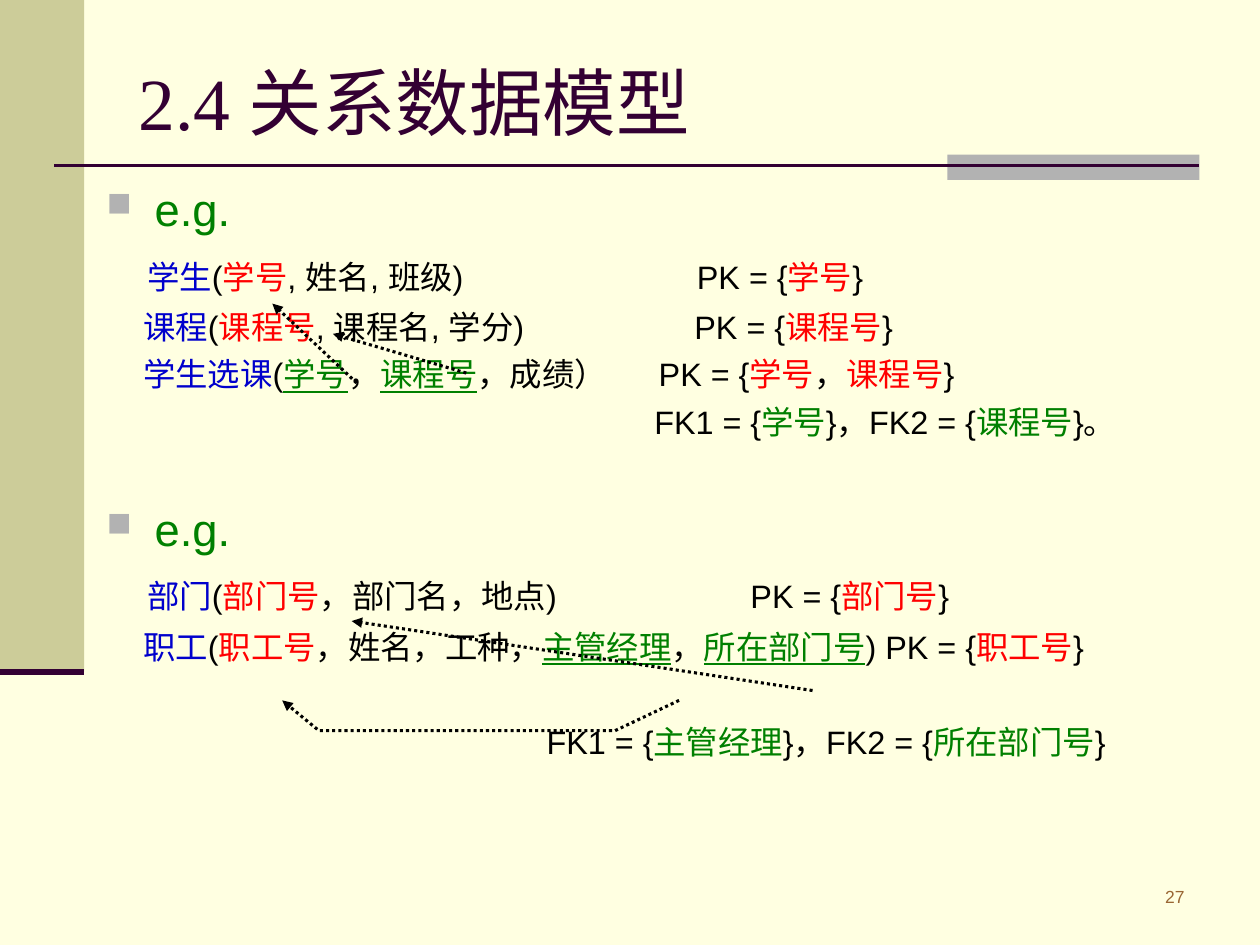
from dataclasses import dataclass
from typing import NamedTuple

from lxml import etree
from pptx import Presentation
from pptx.dml.color import RGBColor
from pptx.enum.dml import MSO_LINE
from pptx.enum.shapes import MSO_CONNECTOR, MSO_SHAPE
from pptx.enum.text import MSO_ANCHOR, PP_ALIGN
from pptx.oxml.ns import qn
from pptx.util import Cm, Pt

RECT = MSO_SHAPE.RECTANGLE
STRAIGHT = MSO_CONNECTOR.STRAIGHT
DOTTED = MSO_LINE.ROUND_DOT
MIDDLE = MSO_ANCHOR.MIDDLE
LEFT, RIGHT = PP_ALIGN.LEFT, PP_ALIGN.RIGHT

CREAM, OLIVE, GREY, PLUM, BROWN = "FFFFE1", "CCCC99", "B2B2B2", "330033", "996633"
BLACK, BLUE, RED, GREEN = "000000", "0000CC", "FF0000", "008000"
HEAD_SIZE, ROW_SIZE = 25.9, 18.5
HANG = 0.97  # bullet indent, cm


class Span(NamedTuple):
    text: str
    color: str = BLACK
    underline: bool = False


@dataclass
class Row:
    spans: list[Span]
    before: float = 5
    size: float = ROW_SIZE
    indent: float = 0
    tabs: tuple[float, ...] = ()
    bullet: bool = False


def rgb(color: str) -> RGBColor:
    return RGBColor.from_string(color)


def name(text: str) -> Span:
    return Span("\t" + text, BLUE)


def key(text: str) -> Span:
    return Span(text, RED)


def foreign(text: str, underline: bool = False) -> Span:
    return Span(text, GREEN, underline)


def heading(before: float) -> Row:
    return Row([Span("e.g.", GREEN)], before, HEAD_SIZE, HANG, bullet=True)


def add_rect(s, x: float, y: float, w: float, h: float, color: str) -> None:
    sp = s.shapes.add_shape(RECT, Cm(x), Cm(y), Cm(w), Cm(h))
    sp.shadow.inherit = False
    sp.fill.solid()
    sp.fill.fore_color.rgb = rgb(color)
    sp.line.fill.background()


def style_line(sp, color: str, width: float, arrow: bool) -> None:
    sp.line.color.rgb = rgb(color)
    sp.line.width = Pt(width)
    if arrow:
        sp.line.dash_style = DOTTED
        etree.SubElement(sp.line._get_or_add_ln(), qn("a:tailEnd"), type="triangle")


def add_line(s, x1: float, y1: float, x2: float, y2: float,
             color: str = BLACK, width: float = 1.75, arrow: bool = True) -> None:
    sp = s.shapes.add_connector(STRAIGHT, Cm(x1), Cm(y1), Cm(x2), Cm(y2))
    style_line(sp, color, width, arrow)
    etree.SubElement(sp._element.spPr, qn("a:effectLst"))


def add_bent_arrow(s, points: list[tuple[float, float]]) -> None:
    start, *rest = [(Cm(x), Cm(y)) for x, y in points]
    builder = s.shapes.build_freeform(*start)
    builder.add_line_segments(rest, close=False)
    sp = builder.convert_to_shape()
    sp.shadow.inherit = False
    sp.fill.background()
    style_line(sp, BLACK, 1.75, True)


def add_box(s, x: float, y: float, w: float, h: float):
    tf = s.shapes.add_textbox(Cm(x), Cm(y), Cm(w), Cm(h)).text_frame
    tf.word_wrap = True
    return tf


def add_run(p, span: Span, size: float, font: str = "Arial") -> None:
    r = p.add_run()
    r.text = span.text
    r.font.size = Pt(size)
    r.font.name = font
    r.font.color.rgb = rgb(span.color)
    if span.underline:
        r.font.underline = True


def add_row(p, row: Row) -> None:
    p.alignment = LEFT
    p.space_before = Pt(row.before)
    pPr = p._p.get_or_add_pPr()
    # Tab stops only hold in a paragraph without its own indent
    if row.indent:
        pPr.set("marL", str(Cm(row.indent)))
        pPr.set("indent", str(-Cm(row.indent) if row.bullet else 0))
    if row.bullet:
        color = etree.SubElement(pPr, qn("a:buClr"))
        etree.SubElement(color, qn("a:srgbClr"), val=GREY)
        etree.SubElement(pPr, qn("a:buSzPct"), val="75000")
        etree.SubElement(pPr, qn("a:buChar"), char="■")
    if row.tabs:
        tabs = etree.SubElement(pPr, qn("a:tabLst"))
        for pos in row.tabs:
            etree.SubElement(tabs, qn("a:tab"), pos=str(Cm(pos)), algn="l")
    for span in row.spans:
        add_run(p, span, row.size)


ROWS = [
    heading(0),
    Row([name("学生"), Span("("), key("学号"), Span(", 姓名, 班级)\tPK = {"),
         key("学号"), Span("}")], 12, tabs=(0.82, 11.9)),
    Row([name("课程"), Span("("), key("课程号"), Span(", 课程名, 学分)\tPK = {"),
         key("课程号"), Span("}")], 6.5, tabs=(0.74, 11.85)),
    Row([name("学生选课"), Span("("), foreign("学号", True), Span("，"),
         foreign("课程号", True), Span("，成绩）\tPK = {"), key("学号"), Span("，"),
         key("课程号"), Span("}")], tabs=(0.74, 11.13)),
    Row([Span("FK1 = {"), foreign("学号"), Span("}，FK2 = {"), foreign("课程号"),
         Span("}。")], indent=11.04),
    heading(34.3),
    Row([name("部门"), Span("("), key("部门号"), Span("，部门名，地点)\tPK = {"),
         key("部门号"), Span("}")], 12, tabs=(0.82, 12.98)),
    Row([name("职工"), Span("("), key("职工号"), Span("，姓名，工种，"),
         foreign("主管经理", True), Span("，"), foreign("所在部门号", True),
         Span(") PK = {"), key("职工号"), Span("}")], 6.5, tabs=(0.74,)),
    Row([Span("FK1 = {"), foreign("主管经理"), Span("}，FK2 = {"),
         foreign("所在部门号"), Span("}")], 32.5, indent=8.87),
]

ARROWS = [
    (7.19, 7.72, 5.49, 6.12),
    (9.4, 7.52, 6.71, 6.73),
    (16.38, 13.92, 7.09, 12.52),
]


def main() -> None:
    prs = Presentation()
    prs.slide_width, prs.slide_height = Cm(25.4), Cm(19.05)
    s = prs.slides.add_slide(prs.slide_layouts[6])
    s.background.fill.solid()
    s.background.fill.fore_color.rgb = rgb(CREAM)

    # Side band and title rule
    add_rect(s, 0, 0, 1.7, 13.54, OLIVE)
    add_rect(s, 19.1, 3.12, 5.08, 0.51, GREY)
    add_line(s, 1.09, 3.33, 24.18, 3.33, PLUM, 1.5, arrow=False)
    add_line(s, 0, 13.54, 1.7, 13.54, PLUM, 3.5, arrow=False)

    # Page number
    p = add_box(s, 20.9, 17.73, 3.23, 0.89).paragraphs[0]
    p.alignment = RIGHT
    add_run(p, Span("27", BROWN), 10)

    # Title
    tf = add_box(s, 2.54, 0.76, 21.59, 2.57)
    tf.vertical_anchor = MIDDLE
    add_run(tf.paragraphs[0], Span("2.4 关系数据模型", PLUM), 42, "Times New Roman")

    # Relation schemas with their keys
    tf = add_box(s, 1.9, 3.53, 22.23, 13.6)
    for i, row in enumerate(ROWS):
        add_row(tf.add_paragraph() if i else tf.paragraphs[0], row)

    # Foreign key references
    for arrow in ARROWS:
        add_line(s, *arrow)
    add_bent_arrow(s, [(13.69, 14.12), (12.4, 14.73), (6.43, 14.73), (5.69, 14.12)])

    prs.save("out.pptx")


if __name__ == "__main__":
    main()
